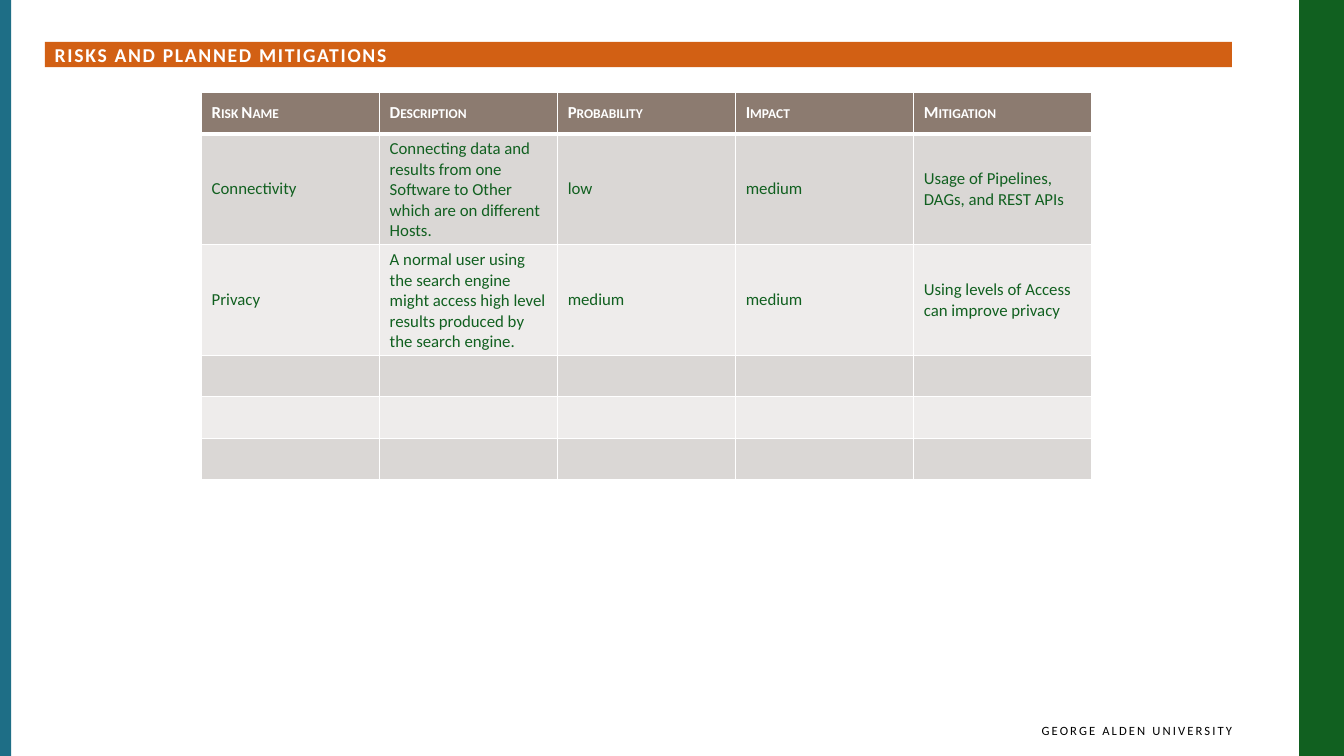
import pptx
import pptx.dml.color
import pptx.enum.shapes
import pptx.enum.text
import pptx.oxml
import pptx.oxml.ns
import pptx.util

SLIDE_WIDTH, SLIDE_HEIGHT = pptx.util.Inches(13.33), pptx.util.Inches(7.5)
COLUMN, ROW = SLIDE_WIDTH / 30, SLIDE_HEIGHT / 18
FONT = "Calibri"
COLOURS = {
    "green": "116020",
    "teal": "1E6E86",
    "orange": "D26014",
    "header": "8C7B70",
    "odd": "DAD7D5",
    "even": "EEECEB",
    "white": "FFFFFF",
    "black": "000000",
}
HEADINGS = ["Risk Name", "Description", "Probability", "Impact", "Mitigation"]
RISKS = [
    ["Connectivity",
     "Connecting data and results from one Software to Other which are on different Hosts.",
     "low", "medium", "Usage of Pipelines, DAGs, and REST APIs"],
    ["Privacy",
     "A normal user using the search engine might access high level results "
     "produced by the search engine.",
     "medium", "medium", "Using levels of Access can improve privacy"],
]
EMPTY_RISKS = [[""] * len(HEADINGS)] * 3


def rgb(colour):
    return pptx.dml.color.RGBColor.from_string(COLOURS[colour])


def grid_box(left, top, width, height):
    return [round(length) for length in
            (left * COLUMN, top * ROW, width * COLUMN, height * ROW)]


def write(text_frame, text, size, colour, bold=False, **run_attributes):
    paragraph = text_frame.paragraphs[0]
    paragraph.text = text
    paragraph.font.size = pptx.util.Pt(size)
    for run in paragraph.runs:
        run.font.name = FONT
        run.font.size = pptx.util.Pt(size)
        run.font.bold = bold
        run.font.color.rgb = rgb(colour)
        for name, value in run_attributes.items():
            run.font._element.set(name, value)
    return paragraph


def add_bar(slide, colour, *box):
    bar = slide.shapes.add_shape(
        pptx.enum.shapes.MSO_SHAPE.RECTANGLE, *grid_box(*box))
    bar.shadow.inherit = False
    bar.fill.solid()
    bar.fill.fore_color.rgb = rgb(colour)
    bar.line.fill.background()
    return bar


def add_title(slide, text):
    banner = add_bar(slide, "orange", 1, 1, 26.5, 0.6).text_frame
    banner.word_wrap = True
    banner.margin_top = banner.margin_bottom = 0
    banner.vertical_anchor = pptx.enum.text.MSO_ANCHOR.MIDDLE
    title = write(banner, text, 14, "white", bold=True, spc="120")
    title.alignment = pptx.enum.text.PP_ALIGN.LEFT


def add_footer(slide, text):
    footer = slide.shapes.add_textbox(*grid_box(15.25, 17, 12.25, 0.8)).text_frame
    footer.word_wrap = True
    footer.margin_right = 0
    footer.vertical_anchor = pptx.enum.text.MSO_ANCHOR.MIDDLE
    institution = write(footer, text, 9, "black", spc="150")
    institution.alignment = pptx.enum.text.PP_ALIGN.RIGHT


def set_borders(cell, widths):
    properties = cell._tc.get_or_add_tcPr()
    for position, (side, width) in enumerate(widths.items()):
        border = pptx.oxml.parse_xml(
            f'<a:ln{side} {pptx.oxml.ns.nsdecls("a")} w="{pptx.util.Pt(width)}">'
            f'<a:solidFill><a:srgbClr val="{COLOURS["white"]}"/></a:solidFill>'
            f'</a:ln{side}>')
        properties.insert(position, border)


def fill_cell(cell, text, row_number):
    is_header = row_number == 0
    band = "header" if is_header else ("even", "odd")[row_number % 2]
    cell.fill.solid()
    cell.fill.fore_color.rgb = rgb(band)
    cell.vertical_anchor = pptx.enum.text.MSO_ANCHOR.MIDDLE
    if is_header:
        write(cell.text_frame, text, 12, "white", bold=True, cap="small")
    else:
        write(cell.text_frame, text, 12, "green")
    set_borders(cell, {"L": 1, "R": 1, "T": 3 if row_number == 1 else 1,
                       "B": 3 if is_header else 1})


def add_risk_table(slide, records):
    box = grid_box(4.5, 2.2, 19.87, 9.17)
    frame = slide.shapes.add_table(len(records), len(HEADINGS), *box)
    for row_number, record in enumerate(records):
        frame.table.rows[row_number].height = pptx.util.Inches(0.41)
        for column_number, text in enumerate(record):
            fill_cell(frame.table.cell(row_number, column_number), text, row_number)
    frame.height = box[3]


def main():
    """Build the risk slide and save it."""
    presentation = pptx.Presentation()
    presentation.slide_width, presentation.slide_height = SLIDE_WIDTH, SLIDE_HEIGHT
    slide = presentation.slides.add_slide(presentation.slide_layouts[6])
    add_bar(slide, "green", 29, 0, 1, 18)
    add_bar(slide, "teal", 0, 0, 0.25, 18)
    add_footer(slide, "GEORGE ALDEN UNIVERSITY")
    add_title(slide, "RISKS AND PLANNED MITIGATIONS")
    add_risk_table(slide, [HEADINGS] + RISKS + EMPTY_RISKS)
    presentation.save("out.pptx")


if __name__ == "__main__":
    main()
